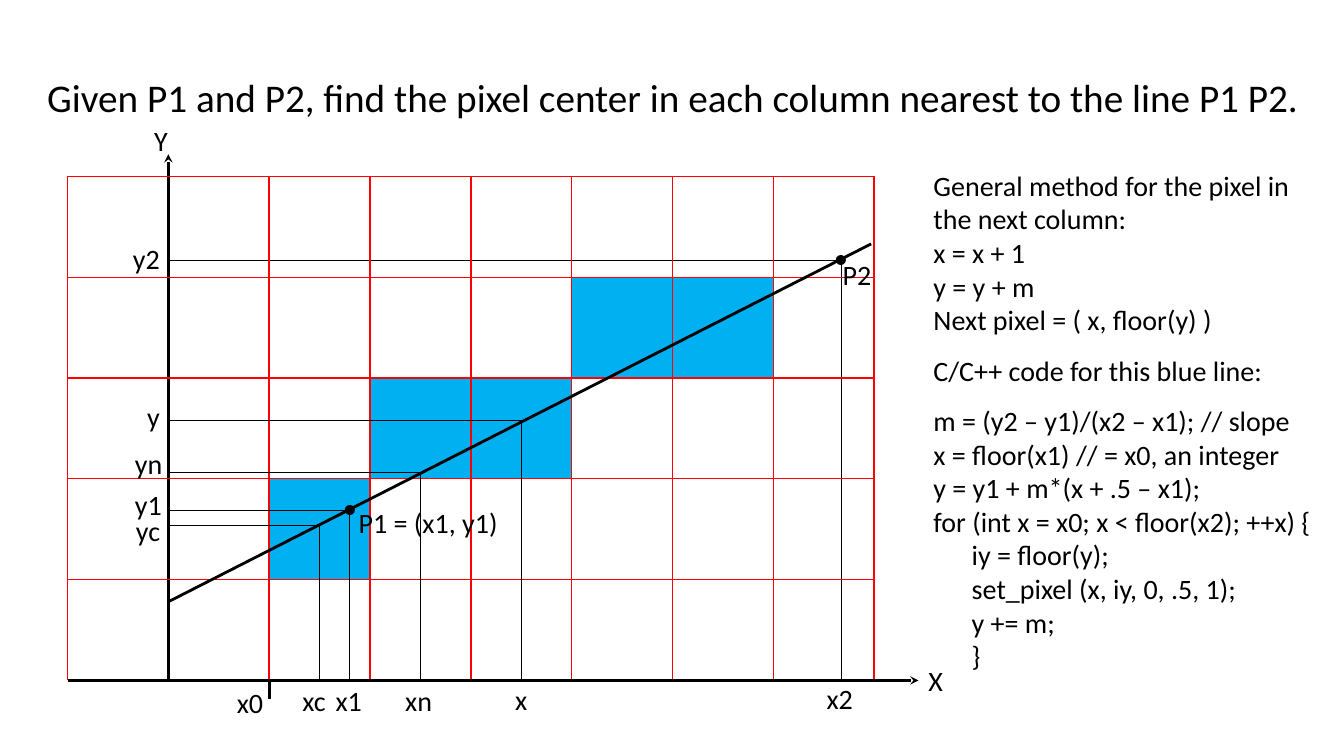
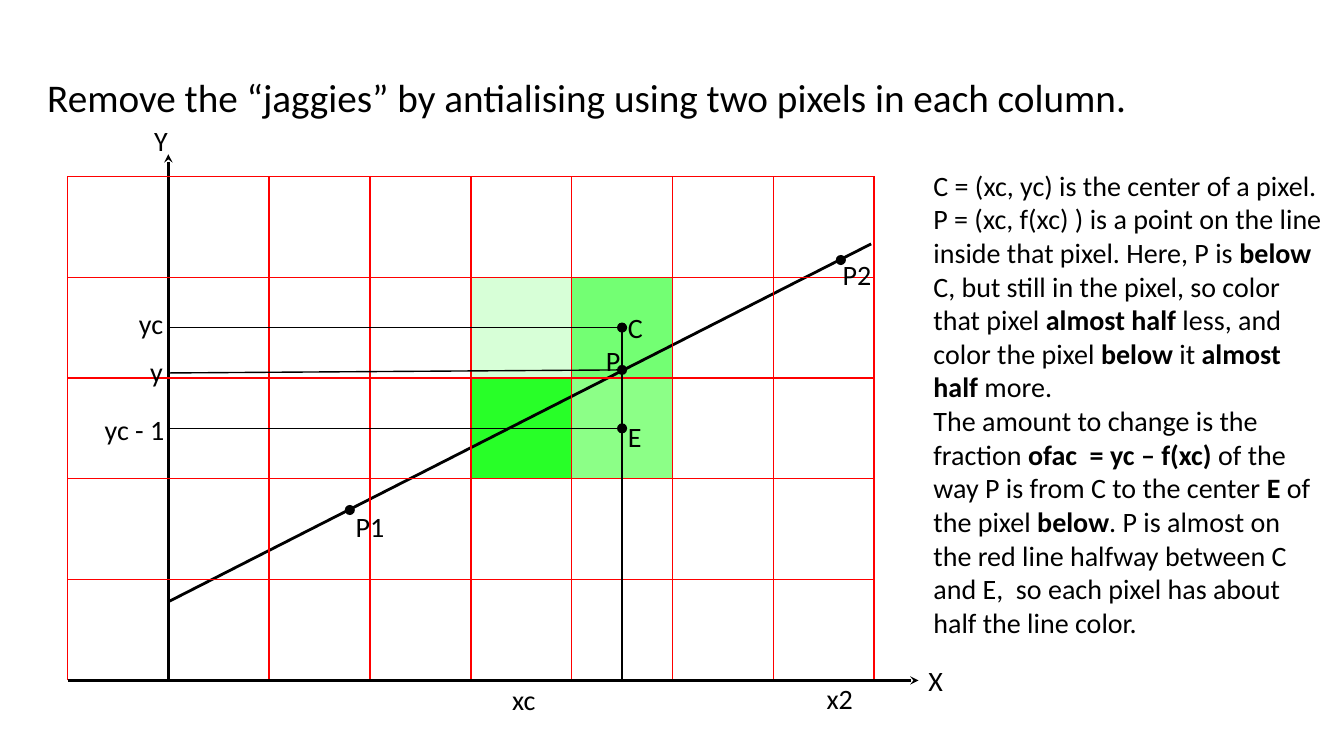
import pptx
import pptx.util
import pptx.dml.color
import pptx.enum.shapes
import pptx.oxml.ns
import lxml.etree

# The slide is a grid of square units, each one inch wide.
WIDE, HIGH = 13.33, 7.5
COLS, ROWS = 8, 5
FONT = "Calibri"
COLORS = {
    "ink": "000000", "grid": "FF0000", "blue": "00B0F0",
    "pale": "D7FFD7", "mid": "73FF73", "soft": "8CFF87", "vivid": "28FF28",
}
TITLE = (0.37, 0.68, 12.69, 0.57)
PLOT = (0.67, 1.75, COLS, ROWS)
NOTES = (9.16, 1.62, 4.07, 5.15)
# Points in plot units, counted from the crossing of the axes
P1, P2 = (1.8, 1.69), (6.67, 4.17)
RAMP = ((0, 0.78), (6.97, 4.33))


def unit(n):
    return pptx.util.Inches(n)


def tone(name):
    return pptx.dml.color.RGBColor.from_string(COLORS[name])


def write(slide, box, paras, size=20):
    """Each paragraph is (runs, space before, indent); a run is (text, bold)."""
    frame = slide.shapes.add_textbox(*map(unit, box)).text_frame
    frame.word_wrap = True
    for i, (runs, gap, indent) in enumerate(paras):
        para = frame.paragraphs[0] if i == 0 else frame.add_paragraph()
        para.space_before = pptx.util.Pt(gap)
        if indent:
            para._p.get_or_add_pPr().set("marL", str(unit(indent)))
        for text, bold in runs:
            run = para.add_run()
            run.text = text
            run.font.name = FONT
            run.font.size = pptx.util.Pt(size)
            run.font.bold = bold
            run.font.color.rgb = tone("ink")


def plain(text, gap=0, indent=0):
    return [(text, False)], gap, indent


def mixed(*texts):
    """Bold every second run."""
    return [(text, i % 2 == 1) for i, text in enumerate(texts)], 0, 0


class Plot:
    """Pixel grid whose Y axis stands one column in from the left."""

    def __init__(self, slide, box):
        self.slide = slide
        left, top, wide, high = box
        self.cell = wide / COLS
        self.left = left + self.cell
        self.base = top + high

    def spot(self, col, row):
        return self.left + col * self.cell, self.base - row * self.cell

    def line(self, start, end, color="ink", width=0.75, arrow=False):
        ends = [unit(n) for n in self.spot(*start) + self.spot(*end)]
        link = self.slide.shapes.add_connector(
            pptx.enum.shapes.MSO_CONNECTOR.STRAIGHT, *ends)
        link.line.color.rgb = tone(color)
        link.line.width = pptx.util.Pt(width)
        qn = pptx.oxml.ns.qn
        if arrow:
            tail = lxml.etree.SubElement(link.line._get_or_add_ln(), qn("a:tailEnd"))
            tail.set("type", "stealth")
        lxml.etree.SubElement(link._element.spPr, qn("a:effectLst"))

    def shape(self, kind, col, row, size, color):
        x, y = self.spot(col, row)
        part = self.slide.shapes.add_shape(
            kind, unit(x), unit(y), unit(size), unit(size))
        part.shadow.inherit = False
        part.fill.solid()
        part.fill.fore_color.rgb = tone(color)
        part.line.fill.background()

    def pixel(self, col, row, color):
        kind = pptx.enum.shapes.MSO_SHAPE.RECTANGLE
        self.shape(kind, col, row + 1, self.cell, color)

    def dot(self, col, row, size=0.1):
        kind = pptx.enum.shapes.MSO_SHAPE.OVAL
        half = size / 2 / self.cell
        self.shape(kind, col - half, row + half, size, "ink")

    def label(self, text, col, row):
        """Place the text with its box's left side at col, centred on row."""
        x, y = self.spot(col, row)
        high = 0.44
        box = (x, y - high / 2, 0.5 + 0.09 * len(text), high)
        write(self.slide, box, [plain(text)])

    def rise(self):
        self.line((0, 0), (0, 5.22), width=2, arrow=True)

    def mesh(self):
        for row in range(1, ROWS + 1):
            self.line((-1, row), (COLS - 1, row), "grid", 1)
        for col in range(-1, COLS):
            if col:
                self.line((col, 0), (col, ROWS), "grid", 1)
        self.line((-1, 0), (7.44, 0), width=2, arrow=True)

    def ramp(self):
        self.line(*RAMP, width=2)

    def guide(self, col, row, width=0.75):
        self.line((col, row), (0, row), width=width)
        self.line((col, 0), (col, row), width=width)

    def names(self, items):
        shared = [("Y", -0.24, 5.35), ("X", 7.44, 0),
                  ("x2", 6.43, -0.18), ("P2", 6.59, 4.02)]
        for item in shared + items:
            self.label(*item)


def start(deck, title):
    slide = deck.slides.add_slide(deck.slide_layouts[6])
    write(slide, TITLE, [plain(title)], 28)
    return slide, Plot(slide, PLOT)


def nearest(deck):
    slide, plot = start(deck, "Given P1 and P2, find the pixel center in each "
                              "column nearest to the line P1 P2.")
    # Chosen pixels
    for col, row in ((5, 3), (4, 3), (3, 2), (2, 2), (1, 1)):
        plot.pixel(col, row, "blue")
    # Axes, grid and guides
    plot.rise()
    plot.guide(*P2, width=0.5)
    plot.dot(*P2)
    plot.dot(*P1)
    plot.mesh()
    plot.line((1, 0), (1, -0.18), width=2)
    for col, row in (P1, (1.5, 1.54), (3.5, 2.58), (2.5, 2.06)):
        plot.guide(col, row)
    plot.ramp()
    plot.names([
        ("y2", -0.45, 4.18), ("y", -0.31, 2.62), ("yn", -0.43, 2.15),
        ("y1", -0.43, 1.74), ("yc", -0.42, 1.48), ("x0", 0.58, -0.22),
        ("xc", 1.23, -0.2), ("x1", 1.56, -0.2), ("xn", 2.25, -0.2),
        ("x", 3.34, -0.19), ("P1 = (x1, y1)", 1.79, 1.56),
    ])
    # Method and code
    body = ["iy = floor(y);", "set_pixel (x, iy, 0, .5, 1);", "y += m;", "}"]
    write(slide, NOTES, [
        plain("General method for the pixel in the next column:"),
        plain("x = x + 1"),
        plain("y = y + m"),
        plain("Next pixel = ( x, floor(y) )"),
        plain("C/C++ code for this blue line:", 12),
        plain("m = (y2 – y1)/(x2 – x1); // slope", 12),
        plain("x = floor(x1) // = x0, an integer"),
        plain("y = y1 + m*(x + .5 – x1);"),
        plain("for (int x = x0; x < floor(x2); ++x) {"),
    ] + [plain(text, indent=0.38) for text in body])


def smooth(deck):
    slide, plot = start(deck, "Remove the “jaggies” by antialising using "
                              "two pixels in each column.")
    # Shaded pixels
    for col, row, color in ((4, 2, "soft"), (4, 3, "mid"),
                            (3, 3, "pale"), (3, 2, "vivid")):
        plot.pixel(col, row, color)
    # Axes, grid and guides
    plot.rise()
    plot.ramp()
    plot.dot(*P1)
    plot.dot(*P2)
    plot.mesh()
    mid = 4.5
    plot.line((mid, 0), (mid, 3.5), width=1)
    for row, end in ((3.5, 3.5), (3.08, 3.05), (2.5, 2.5)):
        plot.line((mid, row), (0, end), width=1)
        plot.dot(mid, row)
    plot.names([
        ("yc", -0.39, 3.54), ("y", -0.28, 3.06), ("yc - 1", -0.73, 2.49),
        ("C", 4.46, 3.5), ("P", 4.24, 3.17), ("E", 4.46, 2.42),
        ("P1", 1.76, 1.52), ("xc", 3.31, -0.19),
    ])
    # Explanation
    write(slide, NOTES, [
        plain("C = (xc, yc) is the center of a pixel."),
        mixed("P = (xc, f(xc) ) is a point on the line inside that pixel. "
              "Here, P is ", "below",
              " C, but still in the pixel, so color that pixel ",
              "almost half ", "less, and color the pixel ", "below", " it ",
              "almost half ", "more."),
        mixed("The amount to change is the fraction ", "ofac  = yc – f(xc) ",
              "of the way P is from C to the center ", "E", " of the pixel ",
              "below", ". P is almost on the red line halfway between C and "
              "E,  so each pixel has about half the line color."),
    ])


def main():
    deck = pptx.Presentation()
    deck.slide_width, deck.slide_height = unit(WIDE), unit(HIGH)
    nearest(deck)
    smooth(deck)
    deck.save("out.pptx")


if __name__ == "__main__":
    main()
